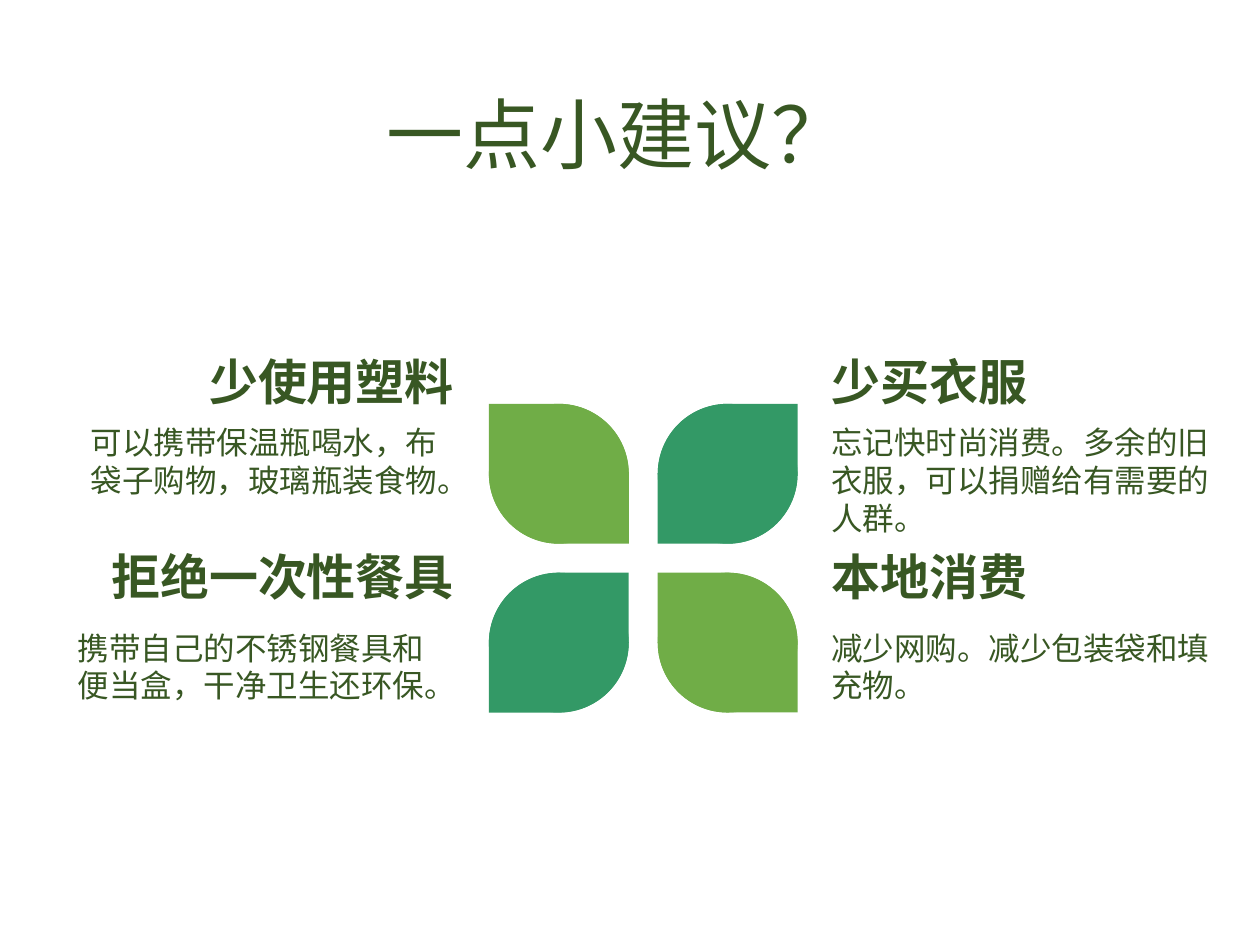
from pptx import Presentation
from pptx import util as u
from pptx.dml import color
from pptx.enum import shapes, text

COLS, ROWS = 100, 75
CELL = u.Inches(10) // COLS
INK, LIME, TEAL = "385723", "70AD47", "339966"
LEFT, RIGHT = text.PP_ALIGN.LEFT, text.PP_ALIGN.RIGHT


def rgb(value):
    """Turn a hex string into a colour."""
    return color.RGBColor.from_string(value)


def grid(*box):
    """Turn columns and rows into slide lengths."""
    return [round(n * CELL) for n in box]


def write(sp, words, size, font="Arial", bold=False, align=LEFT, wrap=True):
    """Fill a shape with one formatted paragraph anchored at its top."""
    tf = sp.text_frame
    tf.word_wrap = wrap
    tf.auto_size = text.MSO_AUTO_SIZE.SHAPE_TO_FIT_TEXT
    tf.vertical_anchor = text.MSO_ANCHOR.TOP
    p = tf.paragraphs[0]
    p.alignment = align
    r = p.add_run()
    r.text = words
    r.font.size, r.font.name, r.font.bold = u.Pt(size), font, bold
    r.font.color.rgb = rgb(INK)


def add_title(s, words, box):
    """Place the slide title in its placeholder."""
    sp = s.shapes.title
    sp.left, sp.top, sp.width, sp.height = grid(*box)
    write(sp, words, 44, "DejaVu Sans Mono", align=text.PP_ALIGN.CENTER)


def add_leaf(s, box, fill, turn):
    """Draw a leaf from two opposite teardrops in one group."""
    group = s.shapes.add_group_shape()
    for angle in (turn + 180, turn):
        sp = group.shapes.add_shape(shapes.MSO_SHAPE.TEAR, *grid(*box))
        sp.rotation = angle
        sp.shadow.inherit = False
        sp.fill.solid()
        sp.fill.fore_color.rgb = rgb(fill)
        sp.line.fill.background()


def add_flower(s, left, top, size, pitch):
    """Lay four leaves in a two by two grid of alternating colours."""
    for row in range(2):
        for col in range(2):
            fill, turn = (LIME, 90) if row == col else (TEAL, 0)
            add_leaf(s, (left + col * pitch, top + row * pitch, size, size), fill, turn)


def add_tip(s, heading, heading_box, body, body_box, align):
    """Place a bold heading and the advice below it."""
    write(s.shapes.add_textbox(*grid(*heading_box)), heading, 28,
          bold=True, align=align, wrap=False)
    write(s.shapes.add_textbox(*grid(*body_box)), body, 18)


def main():
    """Build the slide of green living tips."""
    prs = Presentation()
    prs.slide_width, prs.slide_height = grid(COLS, ROWS)
    s = prs.slides.add_slide(prs.slide_layouts[5])
    add_title(s, "一点小建议？", (12.4, 6.4, 73.2, 8.4))
    add_flower(s, 38.8, 32.05, 11.1, 13.4)
    tips = [
        ("少使用塑料", (15.5, 27.4, 21.5, 5.7),
         "可以携带保温瓶喝水，布袋子购物，玻璃瓶装食物。", (6.2, 33.1, 31.1, 7.1), RIGHT),
        ("少买衣服", (65, 27.4, 17.6, 5.7),
         "忘记快时尚消费。多余的旧衣服，可以捐赠给有需要的人群。", (65, 33.1, 33.9, 10.1), LEFT),
        ("拒绝一次性餐具", (7.7, 42.9, 29.3, 5.7),
         "携带自己的不锈钢餐具和便当盒，干净卫生还环保。", (5.2, 49.4, 30.7, 7.1), RIGHT),
        ("本地消费", (65, 42.9, 17.6, 5.7),
         "减少网购。减少包装袋和填充物。", (65, 49.4, 32.4, 7.1), LEFT),
    ]
    for tip in tips:
        add_tip(s, *tip)
    prs.save("out.pptx")


if __name__ == "__main__":
    main()
